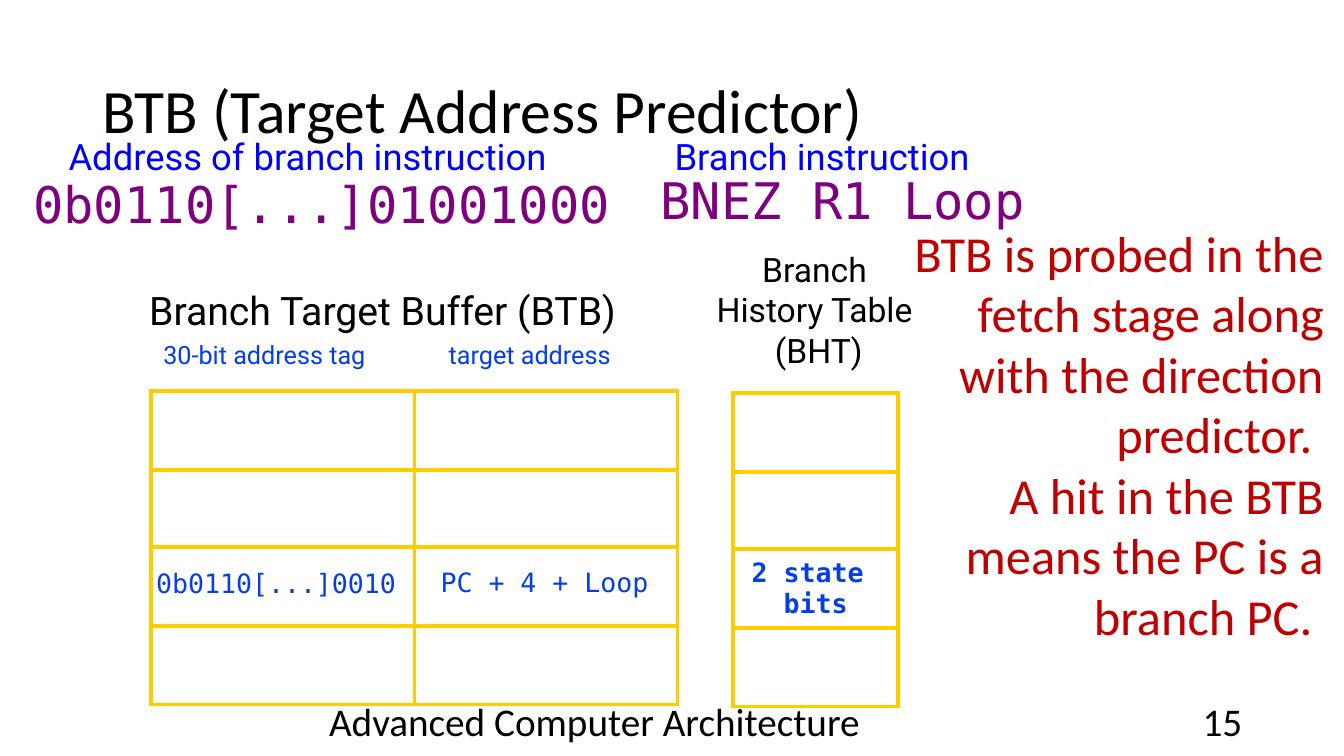
from dataclasses import dataclass

from lxml import etree
from pptx import Presentation
from pptx.dml.color import RGBColor
from pptx.enum.text import MSO_ANCHOR as Anchor, PP_ALIGN as Align
from pptx.oxml.ns import qn
from pptx.slide import Slide
from pptx.table import Table, _Cell as Cell
from pptx.text.text import TextFrame
from pptx.util import Inches, Pt

SANS, MONO, LABEL = "Calibri", "DejaVu Sans Mono", "Roboto"
BLACK, BLUE, CELL_BLUE = "000000", "0000FF", "053DE8"
PURPLE, RED, GOLD = "7F007F", "C00000", "FFCC00"
ROW_HEIGHTS = (0.78, 0.77, 0.78, 0.78)
BORDER_PT = 3


@dataclass(frozen=True)
class Style:
    font: str
    size: float
    color: str
    bold: bool = False


@dataclass(frozen=True)
class Caption:
    left: float
    top: float
    width: float
    height: float
    text: str
    style: Style
    align: Align = Align.LEFT
    footer: bool = False


TITLE = Style(SANS, 44, BLACK)
FOOTER = Style(SANS, 28, BLACK)
HEADING = Style(LABEL, 26, BLUE)
CODE = Style(MONO, 36, PURPLE)
COLUMN = Style(LABEL, 18, CELL_BLUE)
ENTRY = Style(MONO, 19, CELL_BLUE)
STATE = Style(MONO, 19, CELL_BLUE, bold=True)

CAPTIONS = (
    # Branch being looked up
    Caption(0.68, 1.33, 5.53, 0.54, "Address of branch instruction", HEADING),
    Caption(0.33, 1.72, 5.85, 0.71, "0b0110[...]01001000", CODE),
    Caption(6.69, 1.33, 3.43, 0.54, "Branch instruction", HEADING),
    Caption(6.55, 1.68, 3.74, 0.71, "BNEZ R1 Loop", CODE),
    # Table headings
    Caption(1.48, 2.84, 5.26, 0.58, "Branch Target Buffer (BTB)", Style(LABEL, 28, BLACK)),
    Caption(1.62, 3.37, 2.26, 0.42, "30-bit address tag", COLUMN),
    Caption(4.45, 3.37, 1.85, 0.42, "target address", COLUMN),
    Caption(6.93, 2.47, 2.38, 1.32, "Branch \nHistory Table \n(BHT)",
            Style(LABEL, 24, BLACK), Align.CENTER),
    # Matching buffer entry
    Caption(1.55, 5.62, 2.5, 0.43, "0b0110[...]0010", ENTRY),
    Caption(4.37, 5.61, 2.18, 0.43, "PC + 4 + Loop", ENTRY),
    # Explanation
    Caption(9.03, 2.2, 4.1, 5.28,
            "BTB is probed in the fetch stage along with the direction predictor. \n"
            "A hit in the BTB means the PC is a branch PC. ",
            Style(SANS, 36, RED), Align.RIGHT),
    # Footer
    Caption(2.87, 6.95, 6.05, 0.4, "Advanced Computer Architecture", FOOTER,
            Align.CENTER, footer=True),
    Caption(9.42, 6.95, 3, 0.4, "15", FOOTER, Align.RIGHT, footer=True),
)


def rgb(color: str) -> RGBColor:
    return RGBColor.from_string(color)


def write(frame: TextFrame, text: str, style: Style, align: Align = Align.LEFT) -> None:
    frame.text = text
    for paragraph in frame.paragraphs:
        paragraph.alignment = align
        for run in paragraph.runs:
            run.font.name = style.font
            run.font.size = Pt(style.size)
            run.font.bold = style.bold
            run.font.color.rgb = rgb(style.color)


def add_caption(slide: Slide, caption: Caption) -> None:
    box = slide.shapes.add_textbox(Inches(caption.left), Inches(caption.top),
                                   Inches(caption.width), Inches(caption.height))
    frame = box.text_frame
    frame.word_wrap = True
    if caption.footer:
        frame.vertical_anchor = Anchor.MIDDLE
    else:
        frame.margin_left = frame.margin_right = frame.margin_top = frame.margin_bottom = 0
    write(frame, caption.text, caption.style, caption.align)


def outline_cell(cell: Cell) -> None:
    cell.fill.background()
    properties = cell._tc.get_or_add_tcPr()
    for index, side in enumerate(("lnL", "lnR", "lnT", "lnB")):
        line = etree.Element(qn(f"a:{side}"), w=str(Pt(BORDER_PT)))
        fill = etree.SubElement(line, qn("a:solidFill"))
        etree.SubElement(fill, qn("a:srgbClr"), val=GOLD)
        properties.insert(index, line)


def add_grid(slide: Slide, left: float, top: float, column_width: float, columns: int) -> Table:
    grid = slide.shapes.add_table(
        len(ROW_HEIGHTS), columns, Inches(left), Inches(top),
        Inches(column_width * columns), Inches(sum(ROW_HEIGHTS))).table
    grid.first_row = grid.horz_banding = False
    for column in grid.columns:
        column.width = Inches(column_width)
    for row, height in zip(grid.rows, ROW_HEIGHTS):
        row.height = Inches(height)
    for cell in grid.iter_cells():
        outline_cell(cell)
    return grid


def main() -> None:
    deck = Presentation()
    deck.slide_width, deck.slide_height = Inches(13.33), Inches(7.5)
    slide = deck.slides.add_slide(deck.slide_layouts[5])

    # Title
    title = slide.shapes.title
    title.left, title.top = Inches(0.92), Inches(0.4)
    title.width, title.height = Inches(11.5), Inches(1.45)
    title.text_frame.vertical_anchor = Anchor.MIDDLE
    write(title.text_frame, "BTB (Target Address Predictor)", TITLE)
    title.text_frame.paragraphs[0].line_spacing = 0.9

    # Branch target buffer and branch history table
    add_grid(slide, 1.5, 3.88, 2.61, columns=2)
    history = add_grid(slide, 7.27, 3.9, 1.64, columns=1)
    state = history.cell(2, 0)
    state.vertical_anchor = Anchor.MIDDLE
    state.margin_left = state.margin_right = Inches(0.04)
    state.margin_top = state.margin_bottom = Inches(0.04)
    write(state.text_frame, "2 state \nbits", STATE, Align.CENTER)

    # Captions, entries and footer
    for caption in CAPTIONS:
        add_caption(slide, caption)

    deck.save("out.pptx")


if __name__ == "__main__":
    main()
